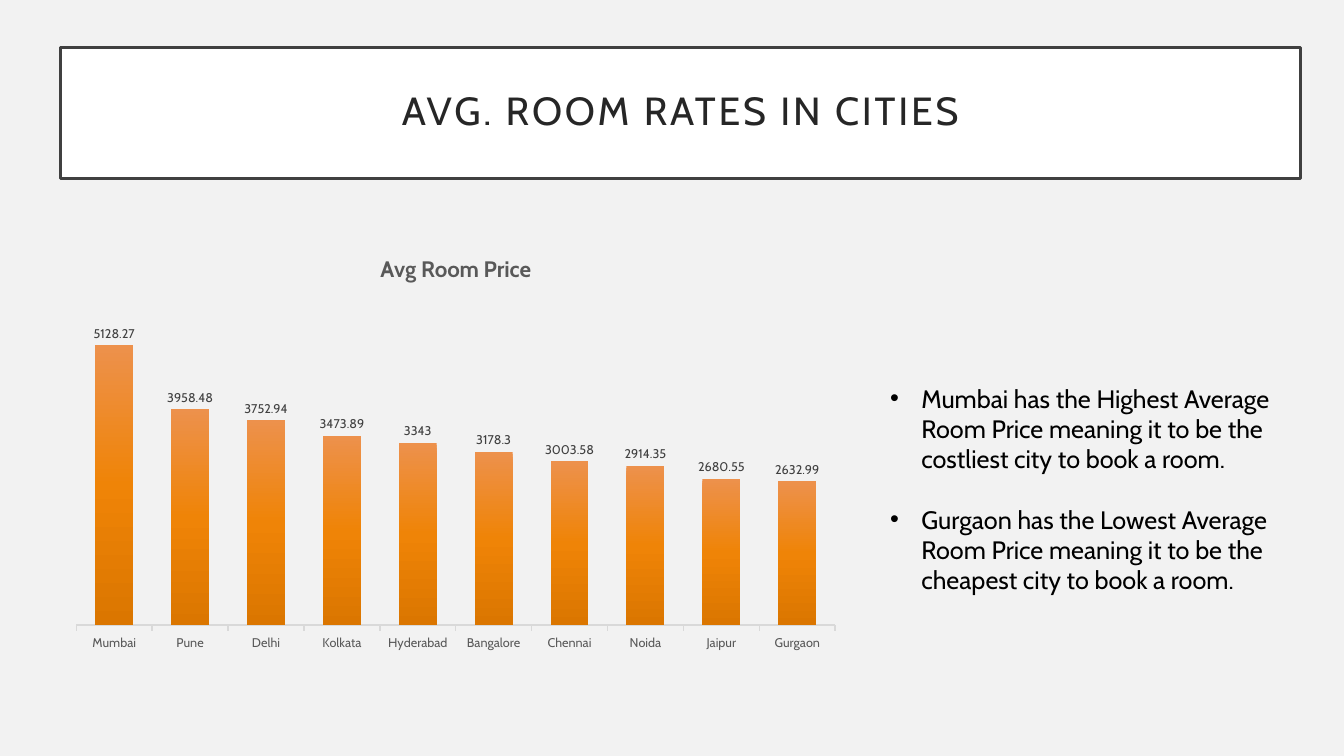
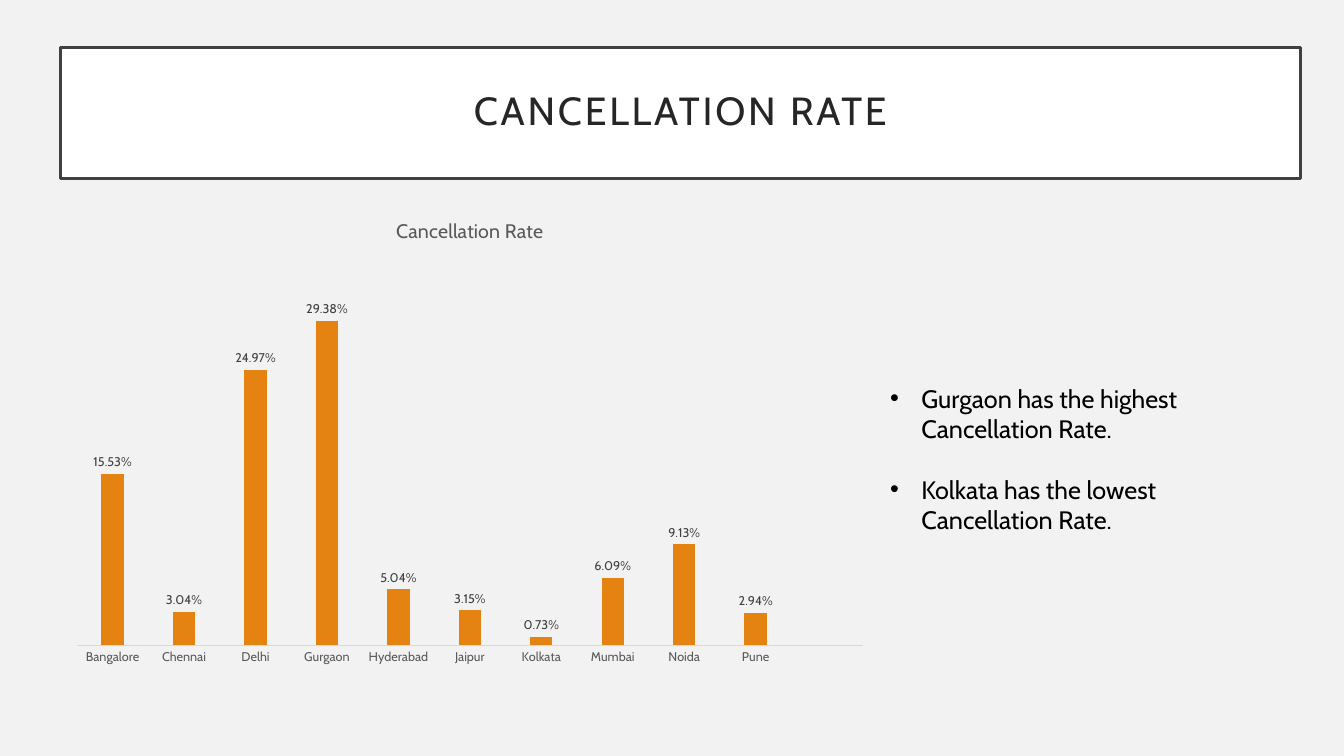
from copy import deepcopy
from lxml import etree
from pptx import Presentation
from pptx import util as u
from pptx.chart.data import CategoryChartData
from pptx.dml.color import RGBColor
from pptx.enum import chart as ch, shapes, text
from pptx.oxml import ns

FONT = "Cabin"
PAGE, INK, GREY, DARK = "F2F2F2", "000000", "595959", "404040"
WIDE, HIGH = 13.33, 7.5
LEFT = 0.6
SLIDES = [
    dict(
        title="AVG. ROOM RATES IN CITIES",
        notes=["Mumbai has the Highest Average Room Price meaning it to be the costliest city to book a room.",
               "Gurgaon has the Lowest Average Room Price meaning it to be the cheapest city to book a room."],
        name="Avg Room Price", size=16, bold=True,
        box=(LEFT, 2.34, 7.84, 4.2), tall=2.22,
        data=[("Mumbai", 5128.27), ("Pune", 3958.48), ("Delhi", 3752.94), ("Kolkata", 3473.89),
              ("Hyderabad", 3343), ("Bangalore", 3178.3), ("Chennai", 3003.58), ("Noida", 2914.35),
              ("Jaipur", 2680.55), ("Gurgaon", 2632.99)],
        form="General", top=6000, gap=100, lap=-24, tick="OUTSIDE", line=1,
        fill=[(0, "ED914C"), (0.5, "EF8407"), (1, "DB7600")]),
    dict(
        title="CANCELLATION RATE",
        notes=["Gurgaon has the highest Cancellation Rate.", "Kolkata has the lowest Cancellation Rate."],
        name="Cancellation Rate", size=14, bold=False,
        box=(LEFT, 1.97, 8.12, 4.72), tall=1.62,
        data=[("Bangalore", 0.1553), ("Chennai", 0.0304), ("Delhi", 0.2497), ("Gurgaon", 0.2938),
              ("Hyderabad", 0.0504), ("Jaipur", 0.0315), ("Kolkata", 0.0073), ("Mumbai", 0.0609),
              ("Noida", 0.0913), ("Pune", 0.0294), ("", None)],
        form="0.00%", top=0.35, gap=219, lap=-27, tick="NONE", line=0.75,
        fill=[(0, "E48312")]),
]


def rgb(code):
    return RGBColor.from_string(code)


def place(*box):
    return [u.Inches(n) for n in box]


def style(font, size, color, bold=False):
    font.name, font.size, font.bold = FONT, u.Pt(size), bold
    font.color.rgb = rgb(color)


def write(frame, lines, size=18, color=INK, align=None, lead=None, gap=0, track=0, dot=None):
    frame.word_wrap = True
    for i, line in enumerate(lines):
        para = frame.paragraphs[0] if i == 0 else frame.add_paragraph()
        if dot:
            props = para._p.get_or_add_pPr()
            props.set("marL", str(u.Inches(0.31)))
            props.set("indent", str(-u.Inches(0.31)))
            etree.SubElement(props, ns.qn("a:buFont")).set("typeface", "Arial")
            etree.SubElement(props, ns.qn("a:buChar")).set("char", dot)
        para.alignment, para.line_spacing = align, lead
        if i:
            para.space_before = u.Pt(gap)
        run = para.add_run()
        run.text = line
        style(run.font, size, color)
        if track:
            run._r.get_or_add_rPr().set("spc", str(track * 100))


def banner(slide, title):
    rect = slide.shapes.add_shape(shapes.MSO_SHAPE.RECTANGLE, *place(LEFT, 0.47, 12.3, 1.3))
    rect.shadow.inherit = False
    rect.fill.solid()
    rect.fill.fore_color.rgb = rgb("FFFFFF")
    rect.line.color.rgb = rgb(DARK)
    rect.line.width = u.Pt(2.5)
    frame = rect.text_frame
    frame.vertical_anchor = text.MSO_ANCHOR.MIDDLE
    frame.margin_left = frame.margin_right = frame.margin_top = frame.margin_bottom = u.Inches(0.2)
    write(frame, [title], size=28, color="262626", align=text.PP_ALIGN.CENTER, lead=0.9, track=2)


def paint(bars, stops):
    fill = bars.format.fill
    if len(stops) == 1:
        fill.solid()
        fill.fore_color.rgb = rgb(stops[0][1])
        return
    fill.gradient()
    fill.gradient_angle = 270
    group = bars._element.find(".//" + ns.qn("a:gsLst"))
    while len(group) < len(stops):
        group.append(deepcopy(group[0]))
    for stop, (pos, color) in zip(fill.gradient_stops, stops):
        stop.position = pos
        stop.color.rgb = rgb(color)


def columns(slide, item):
    data = CategoryChartData(number_format=item["form"])
    data.categories = [city for city, _ in item["data"]]
    data.add_series(item["name"], [value for _, value in item["data"]])
    chart = slide.shapes.add_chart(ch.XL_CHART_TYPE.COLUMN_CLUSTERED, *place(*item["box"]), data).chart
    style(chart.font, 10, INK)
    chart.has_legend = False
    chart.has_title = True
    write(chart.chart_title.text_frame, [item["name"]], size=item["size"], color=GREY)
    chart.chart_title.text_frame.paragraphs[0].runs[0].font.bold = item["bold"]
    chart.chart_title.include_in_layout = False

    value = chart.value_axis
    value.visible = value.has_major_gridlines = False
    value.minimum_scale, value.maximum_scale = 0, item["top"]
    cats = chart.category_axis
    cats.major_tick_mark = ch.XL_TICK_MARK[item["tick"]]
    cats.format.line.color.rgb = rgb("D9D9D9")
    cats.format.line.width = u.Pt(item["line"])
    style(cats.tick_labels.font, 9, GREY)

    plot = chart.plots[0]
    plot.vary_by_categories = False
    plot.gap_width, plot.overlap = item["gap"], item["lap"]
    paint(plot.series[0], item["fill"])
    plot.has_data_labels = True
    marks = plot.data_labels
    marks.show_value = True
    marks.position = ch.XL_LABEL_POSITION.OUTSIDE_END
    marks.number_format, marks.number_format_is_linked = item["form"], False
    style(marks.font, 9, DARK)


def main():
    deck = Presentation()
    deck.slide_width, deck.slide_height = place(WIDE, HIGH)
    back = deck.slide_master.background.fill
    back.solid()
    back.fore_color.rgb = rgb(PAGE)
    for item in SLIDES:
        slide = deck.slides.add_slide(deck.slide_layouts[6])
        banner(slide, item["title"])
        notes = slide.shapes.add_textbox(*place(8.73, 3.75, 4.08, item["tall"]))
        write(notes.text_frame, item["notes"], gap=21.7, dot="•")
        columns(slide, item)
    deck.save("out.pptx")


if __name__ == "__main__":
    main()
